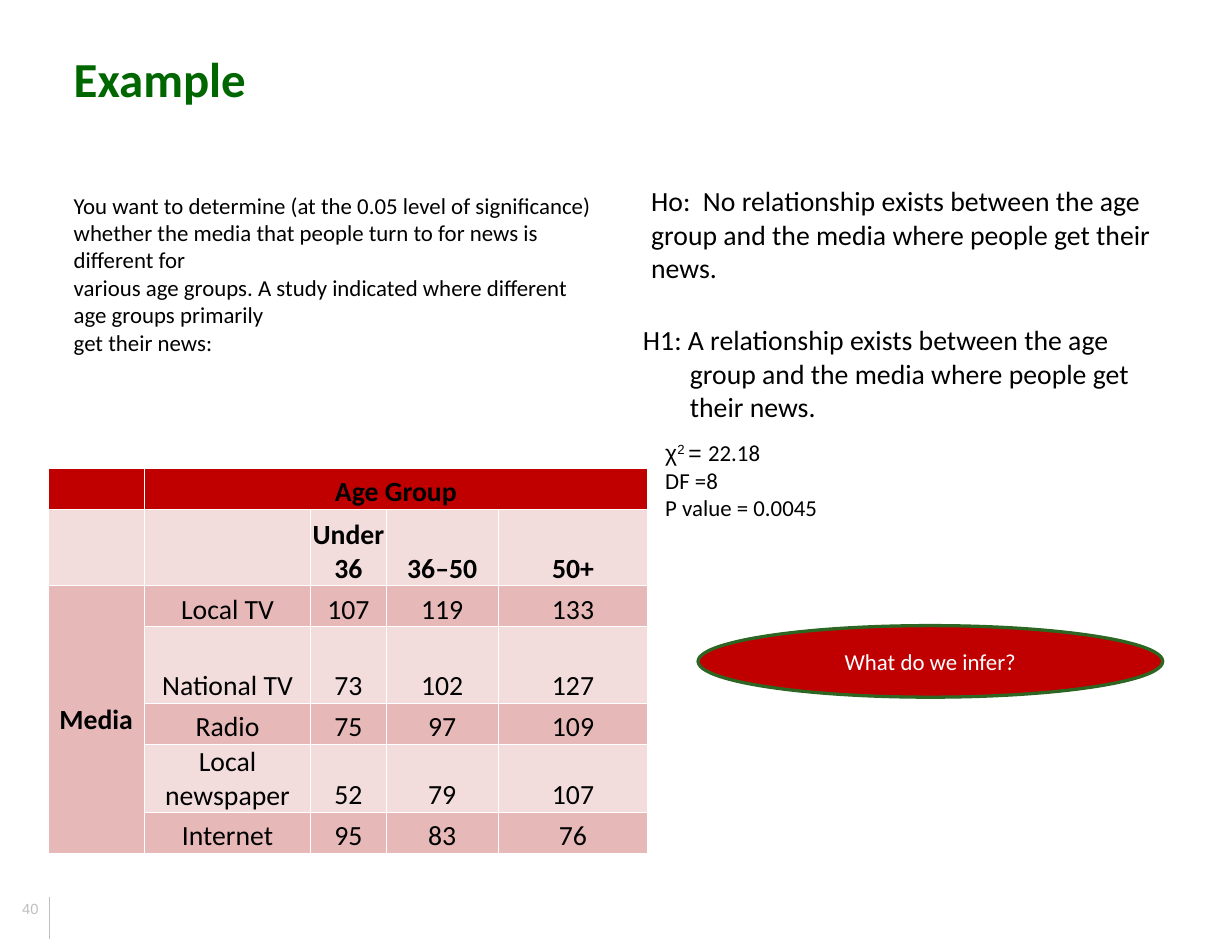
from lxml.etree import SubElement
from pptx import Presentation
from pptx.dml.color import RGBColor
from pptx.enum.shapes import MSO_CONNECTOR, MSO_SHAPE
from pptx.enum.text import MSO_ANCHOR, PP_ALIGN
from pptx.oxml.ns import qn
from pptx.util import Inches, Pt

# Content
TITLE = "Example"
QUESTION = [
    "You want to determine (at the 0.05 level of significance) whether the media "
    "that people turn to for news is different for",
    "various age groups. A study indicated where different age groups primarily",
    "get their news:",
]
HYPOTHESES = [
    "Ho:  No relationship exists between the age group and the media where people get their news.",
    "H1: A relationship exists between the age group and the media where people get their news.",
]
CHI_SQUARE = [("χ", "Arial", 0), ("2 ", "Arial", 30000), ("= ", "Arial", 0), ("22.18", "Calibri", 0)]
TEST_RESULTS = ["DF =8", "P value = 0.0045"]
INFER = "What do we infer?"
PAGE = "40"

TABLE = [
    ["", "Age Group", "", "", ""],
    ["", "", "Under 36", "36–50", "50+"],
    ["Media", "Local TV", "107", "119", "133"],
    ["", "National TV", "73", "102", "127"],
    ["", "Radio", "75", "97", "109"],
    ["", "Local newspaper", "52", "79", "107"],
    ["", "Internet", "95", "83", "76"],
]
COL_WIDTHS = [0.82, 1.42, 0.64, 0.96, 1.27]
ROW_HEIGHTS = [0.35, 0.65, 0.35, 0.65, 0.35, 0.58, 0.35]
RED, BANDS = "C00000", ("E6B9B8", "F2DDDC")

prs = Presentation()
prs.slide_width, prs.slide_height = Inches(10.5), Inches(8)
s = prs.slides.add_slide(prs.slide_layouts[6])


def rgb(value):
    return RGBColor.from_string(value)


def style(p, size, color="000000", bold=False, name="Calibri"):
    p.font.size, p.font.bold, p.font.name = Pt(size), bold, name
    p.font.color.rgb = rgb(color)


def add_text(box, lines, size, inset=(0.11, 0.05), anchor=MSO_ANCHOR.TOP, **font):
    tf = s.shapes.add_textbox(*map(Inches, box)).text_frame
    tf.word_wrap, tf.vertical_anchor = True, anchor
    tf.margin_left = tf.margin_right = Inches(inset[0])
    tf.margin_top = tf.margin_bottom = Inches(inset[1])
    for i, line in enumerate(lines):
        p = tf.paragraphs[0] if i == 0 else tf.add_paragraph()
        p.text = line
        style(p, size, **font)
    return tf


def no_shadow(sp):
    SubElement(sp._element.spPr, qn("a:effectLst"))


# Page number and its rule
rule = s.shapes.add_connector(MSO_CONNECTOR.STRAIGHT, Inches(0.42), Inches(8), Inches(0.42), Inches(7.64))
rule.line.color.rgb, rule.line.width = rgb("BFBFBF"), Pt(0.5)
no_shadow(rule)
add_text((0.08, 7.31, 0.37, 0.56), [PAGE], 9, anchor=MSO_ANCHOR.BOTTOM, color="BFBFBF", name="Arial")

# Title and question
add_text((0.53, 0.32, 9.45, 0.55), [TITLE], 30, inset=(0.1, 0.09), color="006600", bold=True)
add_text((0.53, 1.58, 4.64, 1.74), QUESTION, 14, inset=(0.1, 0.05))

# Media by age group
sp = s.shapes.add_table(len(TABLE), len(COL_WIDTHS), Inches(0.41), Inches(3.99),
                        Inches(sum(COL_WIDTHS)), Inches(sum(ROW_HEIGHTS)))
table = sp.table
table.first_row = table.horz_banding = False
for column, width in zip(table.columns, COL_WIDTHS):
    column.width = Inches(width)
for row, height in zip(table.rows, ROW_HEIGHTS):
    row.height = Inches(height)
for i, row in enumerate(TABLE):
    for j, text in enumerate(row):
        cell = table.cell(i, j)
        tcPr = cell._tc.get_or_add_tcPr()
        for side in ("lnL", "lnR", "lnT", "lnB"):
            ln = SubElement(tcPr, qn("a:" + side), w=str(Pt(0.5)))
            SubElement(SubElement(ln, qn("a:solidFill")), qn("a:srgbClr"), val="FFFFFF")
        cell.fill.solid()
        cell.fill.fore_color.rgb = rgb(RED if i == 0 else BANDS[0] if j == 0 and i > 1 else BANDS[i % 2])
        cell.margin_left = cell.margin_right = cell.margin_top = Inches(0.01)
        cell.margin_bottom = 0
        cell.vertical_anchor = MSO_ANCHOR.MIDDLE if text == "Media" else MSO_ANCHOR.BOTTOM
        p = cell.text_frame.paragraphs[0]
        p.text, p.alignment = text, PP_ALIGN.CENTER
        style(p, 17, bold=i < 2 or j == 0)
table.cell(0, 1).merge(table.cell(0, 4))
table.cell(2, 0).merge(table.cell(6, 0))

# Hypotheses, the second one with a hanging indent
tf = add_text((5.37, 1.52, 4.64, 2.24), HYPOTHESES, 17)
for p, left, indent in zip(tf.paragraphs, (0.07, 0.4), (0, -0.4)):
    pPr = p._p.get_or_add_pPr()
    pPr.set("marL", str(Inches(left)))
    pPr.set("indent", str(Inches(indent)))
tf.paragraphs[1].space_before = Pt(24)

# Test results
tf = add_text((5.56, 3.69, 4.01, 0.81), [""] + TEST_RESULTS, 14)
for text, name, baseline in CHI_SQUARE:
    r = tf.paragraphs[0].add_run()
    r.text, r.font.name = text, name
    if baseline:
        r._r.get_or_add_rPr().set("baseline", str(baseline))

# Closing question
sp = s.shapes.add_shape(MSO_SHAPE.OVAL, Inches(5.95), Inches(5.33), Inches(3.96), Inches(0.61))
sp.shadow.inherit = False
sp.fill.solid()
sp.fill.fore_color.rgb = rgb(RED)
sp.line.color.rgb, sp.line.width = rgb("2C6622"), Pt(2)
sp.text_frame.vertical_anchor = MSO_ANCHOR.MIDDLE
p = sp.text_frame.paragraphs[0]
p.text, p.alignment = INFER, PP_ALIGN.CENTER
style(p, 14, "FFFFFF")

prs.save("out.pptx")
